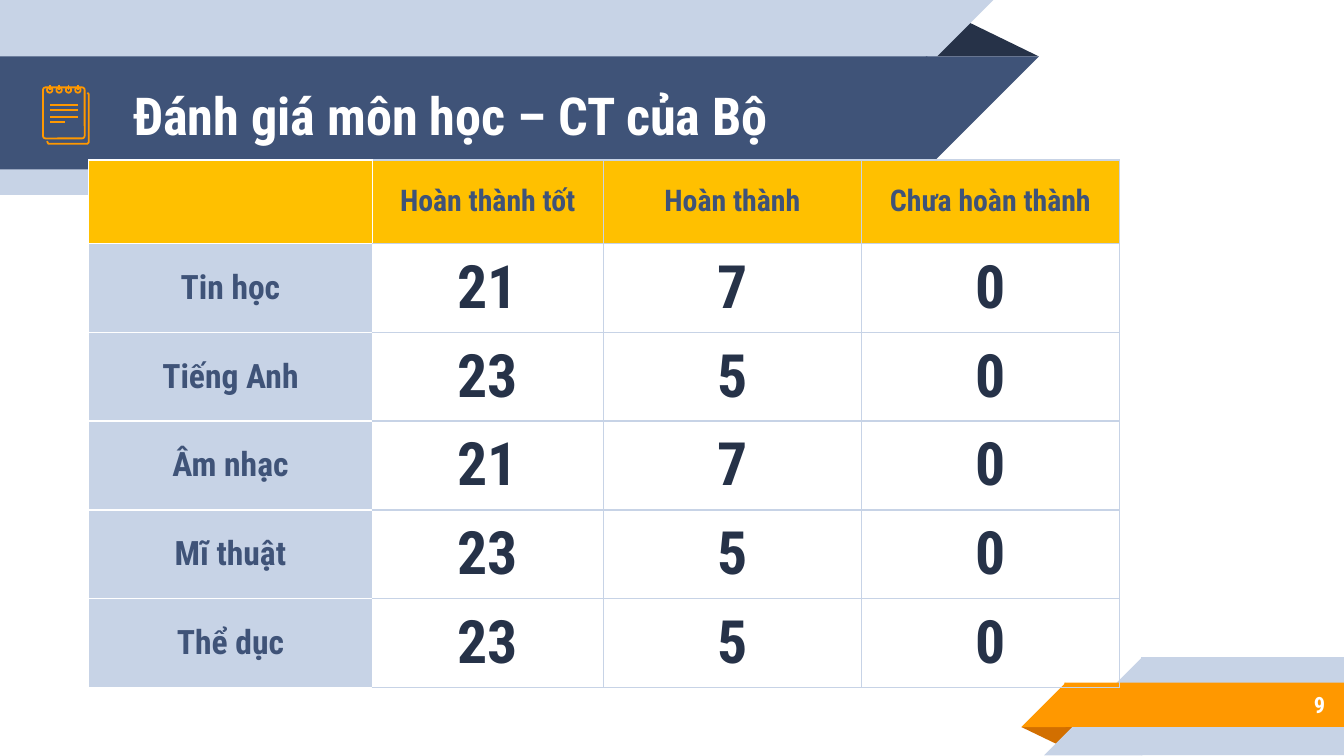
from pptx import Presentation, util as u
from pptx.dml.color import RGBColor
from pptx.enum import shapes, text
from pptx.oxml.ns import qn
from lxml import etree

NAVY = RGBColor(0x3F, 0x53, 0x78)
DARK = RGBColor(0x26, 0x32, 0x48)
PALE = RGBColor(0xC7, 0xD3, 0xE6)
ORANGE = RGBColor(0xFF, 0x98, 0x00)
BROWN = RGBColor(0xD2, 0x6F, 0x00)
GOLD = RGBColor(0xFF, 0xC0, 0x00)
WHITE = RGBColor(0xFF, 0xFF, 0xFF)
FONT = "Roboto Condensed"
KIND = shapes.MSO_SHAPE
ROWS = [
    ("", "Hoàn thành tốt", "Hoàn thành", "Chưa hoàn thành"),
    ("Tin học", "21", "7", "0"),
    ("Tiếng Anh", "23", "5", "0"),
    ("Âm nhạc", "21", "7", "0"),
    ("Mĩ thuật", "23", "5", "0"),
    ("Thể dục", "23", "5", "0"),
]


def inches(*values):
    """Turn numbers into lengths."""
    return [u.Inches(value) for value in values]


def write(frame, words, size, color, align):
    """Put one formatted line of bold text in a frame."""
    para = frame.paragraphs[0]
    para.alignment = align
    span = para.add_run()
    span.text = words
    span.font.color.rgb = color
    formats = {"name": FONT, "size": u.Pt(size), "bold": True}
    for name, value in formats.items():
        setattr(span.font, name, value)


def set_frame(frame):
    """Give a text frame its margins, wrapping and anchor."""
    formats = {"word_wrap": True, "auto_size": text.MSO_AUTO_SIZE.NONE,
               "vertical_anchor": text.MSO_ANCHOR.MIDDLE}
    formats.update({f"margin_{side}": u.Inches(0.1)
                    for side in ("left", "top", "right", "bottom")})
    for name, value in formats.items():
        setattr(frame, name, value)


def add_block(page, kind, place, color, turn=0, flip=False):
    """Add a plain filled shape without outline."""
    block = page.shapes.add_shape(kind, *inches(*place))
    block.shadow.inherit = False
    block.fill.solid()
    block.fill.fore_color.rgb = color
    block.line.fill.background()
    block.rotation = turn
    if flip:
        block._element.spPr.find(qn("a:xfrm")).set("flipH", "1")
    if kind == KIND.ISOSCELES_TRIANGLE:
        block.adjustments[0] = 0.324


def add_top_band(page, left, top, size, color):
    """Add a header band with a slanted right end."""
    add_block(page, KIND.RECTANGLE, (0, top, left + 0.01, size), color, 180, True)
    add_block(page, KIND.RIGHT_TRIANGLE, (left, top, size, size), color, 180, True)


def add_bottom_band(page, left, top, size, color):
    """Add a footer band with a slanted left end."""
    add_block(page, KIND.RECTANGLE, (left - 0.01, top, 10.01 - left, size), color, 0, True)
    add_block(page, KIND.RIGHT_TRIANGLE, (left - size, top, size, size), color, 0, True)


def set_outline(shape):
    """Give an icon part its orange line."""
    shape.line.color.rgb = ORANGE
    shape.line.width = u.Pt(0.96)


def add_outline(page, kind, *place):
    """Add an unfilled icon outline."""
    outline = page.shapes.add_shape(kind, *inches(*place))
    outline.shadow.inherit = False
    outline.fill.background()
    set_outline(outline)
    return outline


def add_stroke(page, *ends):
    """Add a straight icon stroke."""
    stroke = page.shapes.add_connector(
        shapes.MSO_CONNECTOR.STRAIGHT, *inches(*ends))
    set_outline(stroke)
    etree.SubElement(stroke._element.spPr, qn("a:effectLst"))


def add_notepad(page):
    """Draw the notepad icon from its sheets, rings and written lines."""
    points = [(0.35, 1.05), (0.36, 1.07), (0.37, 1.07), (0.65, 1.07),
              (0.66, 1.06), (0.66, 1.05), (0.66, 0.7), (0.65, 0.69)]
    builder = page.shapes.build_freeform(*inches(*points[0]))
    builder.add_line_segments([inches(*point) for point in points[1:]], close=False)
    back = builder.convert_to_shape()
    back.shadow.inherit = False
    back.fill.background()
    set_outline(back)
    front = add_outline(page, KIND.ROUNDED_RECTANGLE, 0.32, 0.65, 0.31, 0.38)
    front.adjustments[0] = 0.06
    for index in range(4):
        x = 0.37 + 0.07 * index
        add_outline(page, KIND.OVAL, x - 0.02, 0.65, 0.04, 0.04)
        add_stroke(page, x, 0.63, x, 0.67)
    for y, right in ((0.78, 0.58), (0.82, 0.58), (0.87, 0.58), (0.91, 0.48)):
        add_stroke(page, right, y, 0.37, y)


def set_borders(cell, colors):
    """Draw the four cell borders ahead of the cell's fill."""
    properties = cell._tc.get_or_add_tcPr()
    for index, (side, color) in enumerate(colors.items()):
        line = etree.Element(qn(f"a:ln{side}"), w=str(u.Pt(0.75)))
        fill = etree.SubElement(line, qn("a:solidFill"))
        etree.SubElement(fill, qn("a:srgbClr"), val=str(color))
        properties.insert(index, line)


def fill_cell(cell, words, row, column):
    """Fill and format one table cell by its row and column."""
    formats = {"margin_left": u.Inches(0.1), "margin_right": u.Inches(0.1),
               "margin_top": u.Inches(0.07), "margin_bottom": u.Inches(0.07),
               "vertical_anchor": text.MSO_ANCHOR.MIDDLE}
    for name, value in formats.items():
        setattr(cell, name, value)
    if row and column:
        cell.fill.background()
    else:
        cell.fill.solid()
        cell.fill.fore_color.rgb = PALE if row else GOLD
    colors = dict.fromkeys("LRTB", PALE if column else WHITE)
    if column == 1:
        colors["L"] = WHITE
    set_borders(cell, colors)
    if words:
        size = 16 if row == 0 else 32 if column else 18
        write(cell.text_frame, words, size, DARK if row and column else NAVY,
              text.PP_ALIGN.CENTER)


def add_results(page):
    """Add the table of subject results."""
    holder = page.shapes.add_table(len(ROWS), 4, *inches(0.66, 1.19, 7.67, 4.04))
    table = holder.table
    table.first_row = table.horz_banding = False
    for column, width in zip(table.columns, inches(2.11, 1.72, 1.92, 1.92)):
        column.width = width
    for row, entries in enumerate(ROWS):
        table.rows[row].height = u.Inches(0.65 if row else 0.62)
        for column, words in enumerate(entries):
            fill_cell(table.cell(row, column), words, row, column)
    holder.height = u.Inches(4.04)


def add_title(page):
    """Place the title over the header band."""
    title = page.shapes.title
    names = ("left", "top", "width", "height")
    for name, value in zip(names, inches(0.89, 0.43, 5.75, 0.84)):
        setattr(title, name, value)
    set_frame(title.text_frame)
    write(title.text_frame, "Đánh giá môn học – CT của Bộ", 28, WHITE,
          text.PP_ALIGN.LEFT)
    page.shapes._spTree.append(title._element)


def add_page_number(page):
    """Write the page number on the footer band."""
    box = page.shapes.add_textbox(*inches(8.33, 5.07, 1.63, 0.35))
    set_frame(box.text_frame)
    write(box.text_frame, "9", 12, WHITE, text.PP_ALIGN.RIGHT)


def main():
    """Build and save the slide."""
    deck = Presentation()
    deck.slide_width = u.Inches(10)
    deck.slide_height = u.Inches(10 * 9 / 16)
    page = deck.slides.add_slide(deck.slide_layouts[5])
    add_block(page, KIND.ISOSCELES_TRIANGLE, (6.88, 0.14, 0.85, 0.28), DARK)
    add_top_band(page, 5.94, 0, 1.45, PALE)
    add_top_band(page, 6.89, 0.42, 0.84, NAVY)
    add_block(page, KIND.ISOSCELES_TRIANGLE, (7.6, 5.41, 0.43, 0.14), BROWN, 180)
    add_bottom_band(page, 8.5, 4.89, 0.73, PALE)
    add_bottom_band(page, 7.93, 5.08, 0.33, ORANGE)
    add_title(page)
    add_page_number(page)
    add_notepad(page)
    add_results(page)
    deck.save("out.pptx")


if __name__ == "__main__":
    main()
